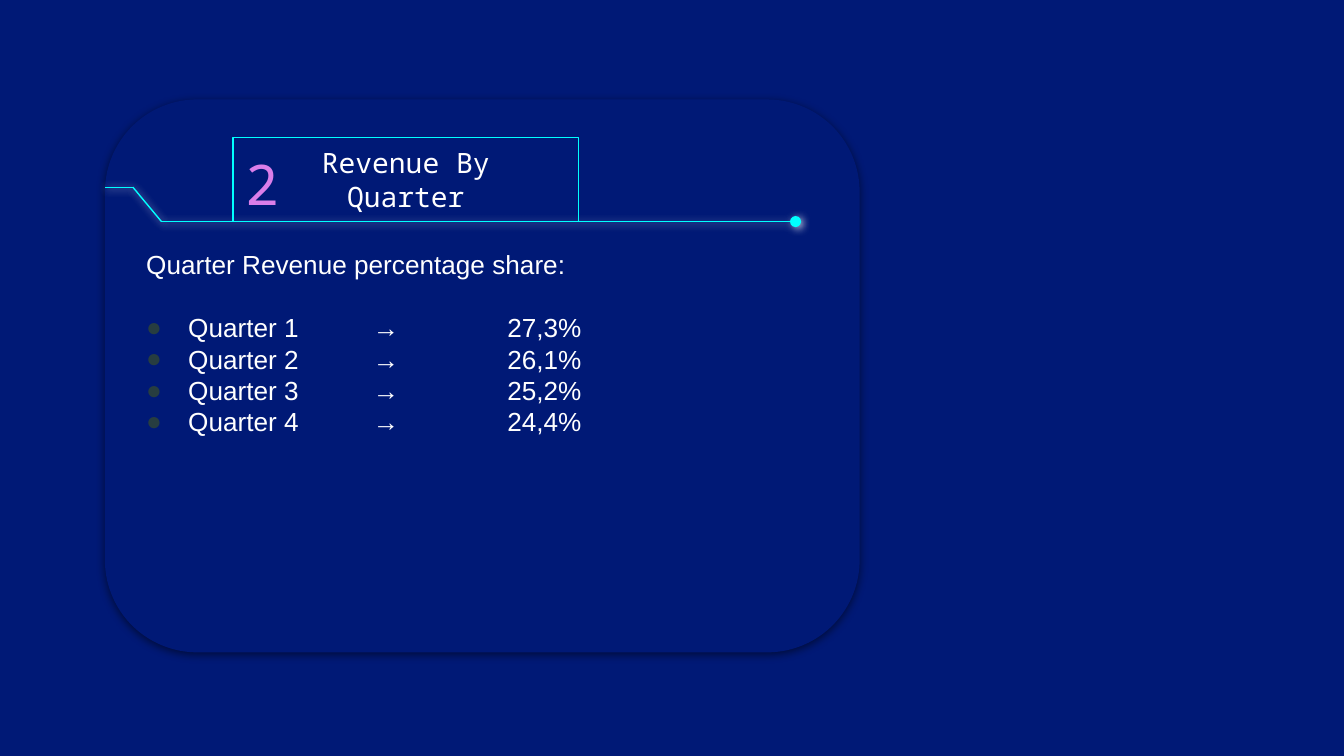
import pptx
import pptx.util
import pptx.dml.color
import pptx.enum.shapes
import pptx.enum.text
import pptx.oxml
import pptx.oxml.ns
import lxml.etree
from dataclasses import dataclass

Pt = pptx.util.Pt
Color = pptx.dml.color.RGBColor.from_string
Shape = pptx.enum.shapes.MSO_SHAPE
Align = pptx.enum.text.PP_ALIGN
qn = pptx.oxml.ns.qn


@dataclass(frozen=True)
class Theme:
    navy: str = "001976"
    cyan: str = "00FFFF"
    white: str = "FFFFFF"
    black: str = "000000"
    pink: str = "DA7EE9"
    bullet: str = "273D40"
    body_font: str = "Arial"
    title_font: str = "Noto Sans Mono"
    body_size: int = 14
    title_size: int = 15
    number_size: int = 30


theme = Theme()


def add_shadow(shape, color, opacity, blur, distance, angle):
    properties = shape._element.spPr
    effects = properties.find(qn("a:effectLst"))
    if effects is None:
        effects = lxml.etree.SubElement(properties, qn("a:effectLst"))
    shadow = lxml.etree.SubElement(
        effects, qn("a:outerShdw"), blurRad=str(Pt(blur)), dist=str(Pt(distance)),
        dir=str(angle * 60000), algn="bl", rotWithShape="0")
    tint = lxml.etree.SubElement(shadow, qn("a:srgbClr"), val=color)
    lxml.etree.SubElement(tint, qn("a:alpha"), val=str(opacity * 1000))


def style_font(font, name, size, color):
    font.name = name
    font.size = Pt(size)
    font.color.rgb = Color(color)


deck = pptx.Presentation()
deck.slide_width, deck.slide_height = Pt(720), Pt(405)
page = deck.slides.add_slide(deck.slide_layouts[6])
page.background.fill.solid()
page.background.fill.fore_color.rgb = Color(theme.navy)

card = page.shapes.add_shape(Shape.ROUNDED_RECTANGLE, Pt(56.2), Pt(53.3), Pt(404.3), Pt(296.2))
card.adjustments[0] = 0.167
card.fill.solid()
card.fill.fore_color.rgb = Color(theme.navy)
card.line.fill.background()
card.shadow.inherit = False
add_shadow(card, theme.black, 50, 4.5, 1.5, 90)

shares = [("Quarter 1", "27,3%"), ("Quarter 2", "26,1%"),
          ("Quarter 3", "25,2%"), ("Quarter 4", "24,4%")]
body = page.shapes.add_textbox(Pt(71.2), Pt(126), Pt(370), Pt(211))
frame = body.text_frame
frame.word_wrap = True
frame.margin_left = frame.margin_right = frame.margin_top = frame.margin_bottom = Pt(7.2)
heading = frame.paragraphs[0]
heading.text = "Quarter Revenue percentage share:"
heading.space_after = Pt(17)
style_font(heading.runs[0].font, theme.body_font, theme.body_size, theme.white)
for quarter, share in shares:
    para = frame.add_paragraph()
    para.text = f"{quarter}\t→\t{share}"
    layout = para._p.get_or_add_pPr()
    layout.set("marL", str(Pt(22.5)))
    layout.set("indent", str(Pt(-22.5)))
    bullet_color = lxml.etree.SubElement(layout, qn("a:buClr"))
    lxml.etree.SubElement(bullet_color, qn("a:srgbClr"), val=theme.bullet)
    lxml.etree.SubElement(layout, qn("a:buFont"), typeface=theme.body_font)
    lxml.etree.SubElement(layout, qn("a:buChar"), char="●")
    tabs = lxml.etree.SubElement(layout, qn("a:tabLst"))
    for stop in (121.5, 193.5):
        lxml.etree.SubElement(tabs, qn("a:tab"), pos=str(Pt(stop)), algn="l")
    for span in para.runs:
        style_font(span.font, theme.body_font, theme.body_size, theme.white)

circuit = page.shapes.add_group_shape()
points = [(56.2, 100.3), (71.2, 100.3), (86.5, 118.7), (426.2, 118.7)]
for start, end in zip(points, points[1:]):
    wire = circuit.shapes.add_connector(
        pptx.enum.shapes.MSO_CONNECTOR.STRAIGHT, *map(Pt, start + end))
    wire.line.color.rgb = Color(theme.cyan)
    wire.line.width = Pt(0.75)
    add_shadow(wire, theme.white, 75, 4.5, 0.8, 63)
    if end == points[-1]:
        outline = wire._element.spPr.find(qn("a:ln"))
        lxml.etree.SubElement(outline, qn("a:tailEnd"), type="oval")

labels = [
    ("2", (114.5, 72, 52.5, 52.5), 7.2, theme.number_size, theme.pink, None),
    ("Revenue By Quarter", (124.8, 73.6, 185.2, 45.1), 20, theme.title_size, theme.white, theme.cyan),
]
for text, place, side_margin, size, color, border in labels:
    box = page.shapes.add_shape(Shape.RECTANGLE, *map(Pt, place))
    box.shadow.inherit = False
    box.fill.background()
    if border:
        box.line.color.rgb = Color(border)
        box.line.width = Pt(0.75)
    else:
        box.line.fill.background()
    frame = box.text_frame
    frame.word_wrap = True
    frame.margin_left = frame.margin_right = Pt(side_margin)
    frame.margin_top = frame.margin_bottom = Pt(7.2)
    frame.vertical_anchor = pptx.enum.text.MSO_ANCHOR.MIDDLE
    frame.text = text
    para = frame.paragraphs[0]
    para.alignment = Align.CENTER
    style_font(para.runs[0].font, theme.title_font, size, color)

deck.save("out.pptx")
